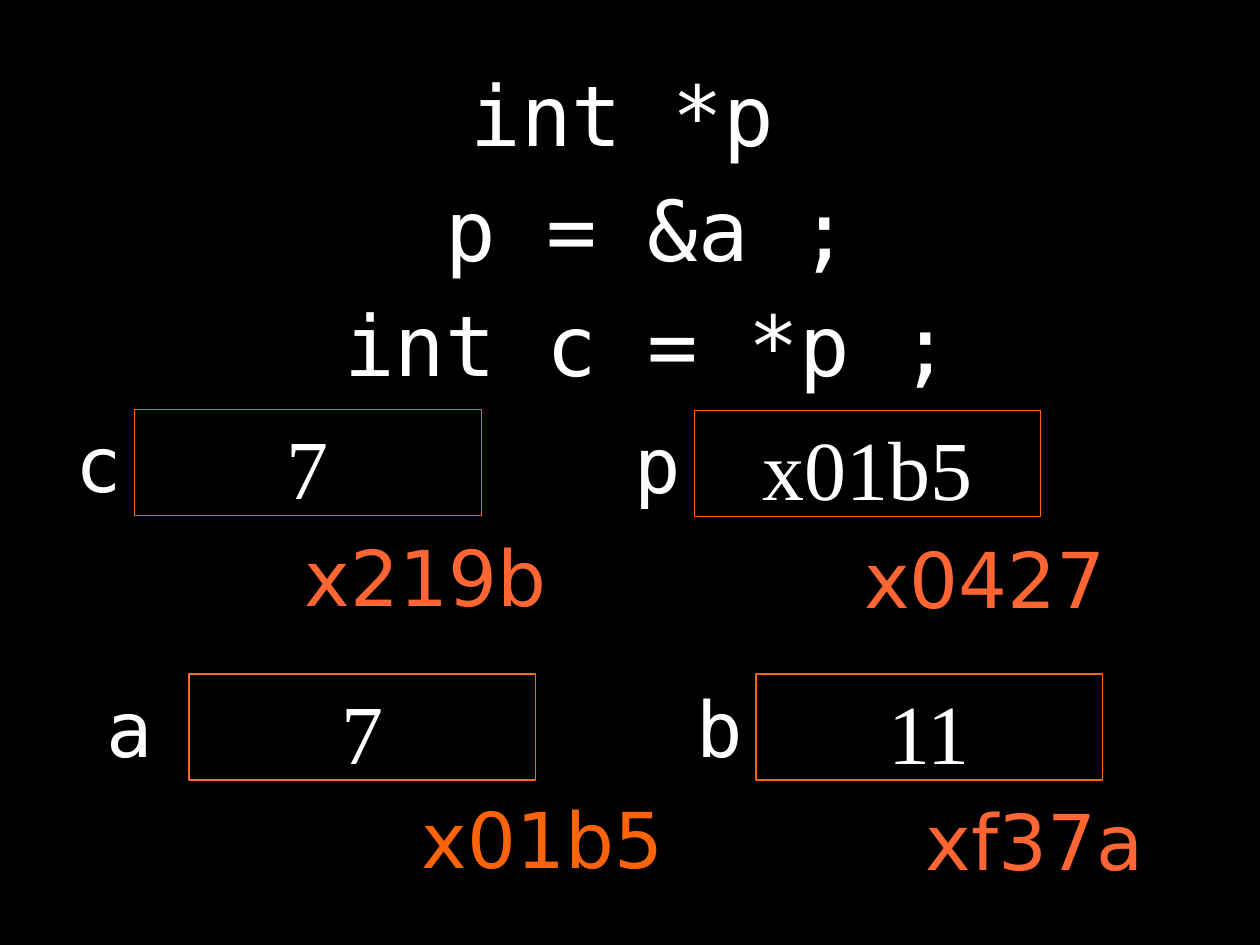
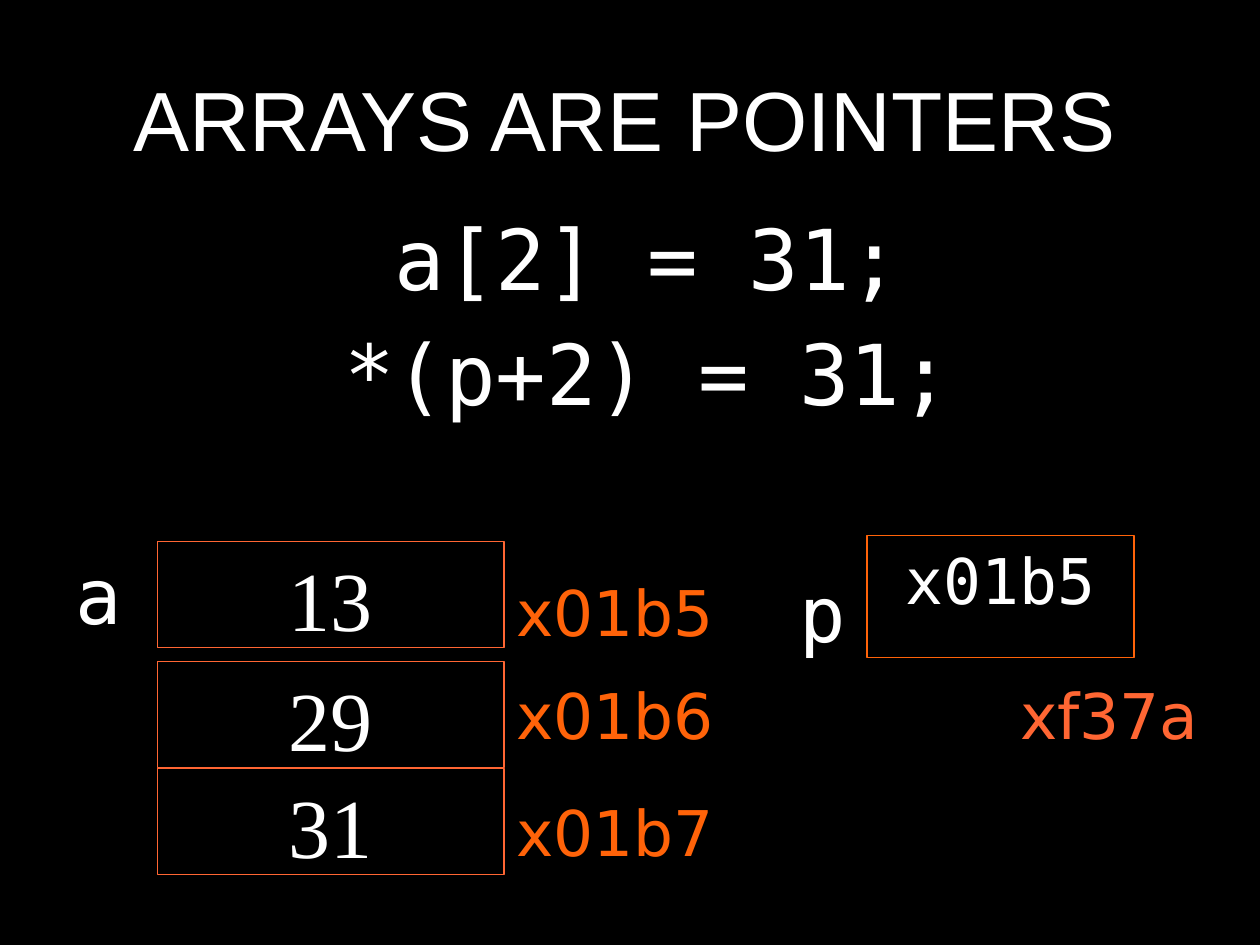
from dataclasses import dataclass

from pptx import Presentation
from pptx.dml.color import RGBColor as RGB
from pptx.enum.shapes import MSO_SHAPE as Shape
from pptx.enum.text import MSO_ANCHOR as Anchor, PP_ALIGN as Align
from pptx.util import Pt


@dataclass(frozen=True)
class Theme:
    back: RGB = RGB(0x00, 0x00, 0x00)
    ink: RGB = RGB(0xFF, 0xFF, 0xFF)
    coral: RGB = RGB(0xFF, 0x66, 0x33)
    orange: RGB = RGB(0xFF, 0x63, 0x09)
    head: str = "Arial"
    code: str = "DejaVu Sans Mono"
    sans: str = "DejaVu Sans"
    serif: str = "Times New Roman"
    big: int = 48
    mid: int = 44
    small: int = 36


THEME = Theme()


@dataclass(frozen=True)
class Style:
    font: str
    size: int
    color: RGB = THEME.ink
    align: Align = Align.LEFT
    anchor: Anchor = Anchor.TOP
    pad: tuple[float, float] = (7.2, 3.6)
    before: float = 0
    hang: float = 0


TITLE = Style(THEME.head, THEME.big, align=Align.CENTER, anchor=Anchor.MIDDLE, pad=(0, 0))
CODE = Style(THEME.code, THEME.big, align=Align.CENTER, pad=(0, 0), before=8, hang=27)
VALUE = Style(THEME.serif, THEME.big, align=Align.CENTER)
HEX = Style(THEME.code, THEME.small, align=Align.CENTER)
NAME = Style(THEME.code, THEME.mid)


@dataclass(frozen=True)
class Cell:
    """A memory cell; name and address are placed relative to its box."""
    x: float
    y: float
    value: str
    addr: str
    name: str = ""
    width: float = 198
    height: float = 60.5
    line: RGB = THEME.orange
    ink: RGB = THEME.coral
    style: Style = VALUE
    size: int = THEME.mid
    name_at: tuple[float, float] = (-41, 0)
    addr_at: tuple[float, float] = (90, 64.8)
    addr_width: float = 162


@dataclass(frozen=True)
class Page:
    code: tuple[str, ...]
    top: float
    cells: tuple[Cell, ...]
    title: str = ""


LIST = dict(x=90, line=THEME.coral, ink=THEME.orange, size=THEME.small)

PAGES = (
    Page(
        code=("int *p ", "p = &a ;", "int c = *p ;"),
        top=36,
        cells=(
            Cell(108, 385.2, "7", "x01b5", "a", line=THEME.coral, ink=THEME.orange,
                 name_at=(-54, 0), addr_at=(126, 63.4)),
            Cell(432, 385.2, "11", "xf37a", "b"),
            Cell(396.7, 234.7, "x01b5", "x0427", "p", addr_at=(90, 65.5)),
            Cell(77, 234, "7", "x219b", "c"),
        ),
    ),
    Page(
        title="ARRAYS ARE POINTERS",
        code=("a[2] = 31;", "*(p+2) = 31;"),
        top=118,
        cells=(
            Cell(y=309.6, value="13", addr="x01b5", name="a",
                 name_at=(-54, 0), addr_at=(198, 14.4), **LIST),
            Cell(y=378, value="29", addr="x01b6", addr_at=(198, 5), **LIST),
            Cell(y=439.2, value="31", addr="x01b7", addr_at=(198, 10.8), **LIST),
            Cell(495.4, 306, "x01b5", "xf37a", "p", width=152.6, height=69.8,
                 style=HEX, size=THEME.small, name_at=(-45.4, 13.7),
                 addr_at=(80.6, 77), addr_width=118),
        ),
    ),
)


def assign(item, values: dict) -> None:
    for key, value in values.items():
        setattr(item, key, value)


def write(shape, lines: tuple[str, ...], style: Style) -> None:
    frame = shape.text_frame
    across, down = map(Pt, style.pad)
    assign(frame, dict(word_wrap=True, vertical_anchor=style.anchor,
                       margin_left=across, margin_right=across,
                       margin_top=down, margin_bottom=down))
    for i, line in enumerate(lines):
        para = frame.paragraphs[0] if i == 0 else frame.add_paragraph()
        assign(para, dict(alignment=style.align, space_before=Pt(style.before)))
        if style.hang:
            props = para._p.get_or_add_pPr()
            props.set("marL", str(Pt(style.hang)))
            props.set("indent", str(-Pt(style.hang)))
        run = para.add_run()
        run.text = line
        assign(run.font, dict(name=style.font, size=Pt(style.size)))
        run.font.color.rgb = style.color


def add_text(slide, x: float, y: float, width: float, height: float,
             style: Style, *lines: str) -> None:
    box = slide.shapes.add_textbox(Pt(x), Pt(y), Pt(width), Pt(height))
    write(box, lines, style)


def add_cell(slide, cell: Cell) -> None:
    box = slide.shapes.add_shape(Shape.RECTANGLE, Pt(cell.x), Pt(cell.y),
                                 Pt(cell.width), Pt(cell.height))
    box.shadow.inherit = False
    box.fill.background()
    box.line.color.rgb = cell.line
    box.line.width = Pt(0)
    write(box, (cell.value,), cell.style)

    if cell.name:
        dx, dy = cell.name_at
        add_text(slide, cell.x + dx, cell.y + dy, 42.5, 58.3, NAME, cell.name)
    dx, dy = cell.addr_at
    add_text(slide, cell.x + dx, cell.y + dy, cell.addr_width, cell.size * 1.33,
             Style(THEME.sans, cell.size, cell.ink), cell.addr)


def add_page(deck, page: Page) -> None:
    slide = deck.slides.add_slide(deck.slide_layouts[6])
    fill = slide.background.fill
    fill.solid()
    fill.fore_color.rgb = THEME.back
    if page.title:
        add_text(slide, 36, 26.6, 642.2, 81.4, TITLE, page.title)
    add_text(slide, 74.2, page.top, 591.8, 504 - page.top, CODE, *page.code)
    for cell in page.cells:
        add_cell(slide, cell)


def main() -> None:
    deck = Presentation()
    assign(deck, dict(slide_width=Pt(720), slide_height=Pt(540)))
    for page in PAGES:
        add_page(deck, page)
    deck.save("out.pptx")


if __name__ == "__main__":
    main()
